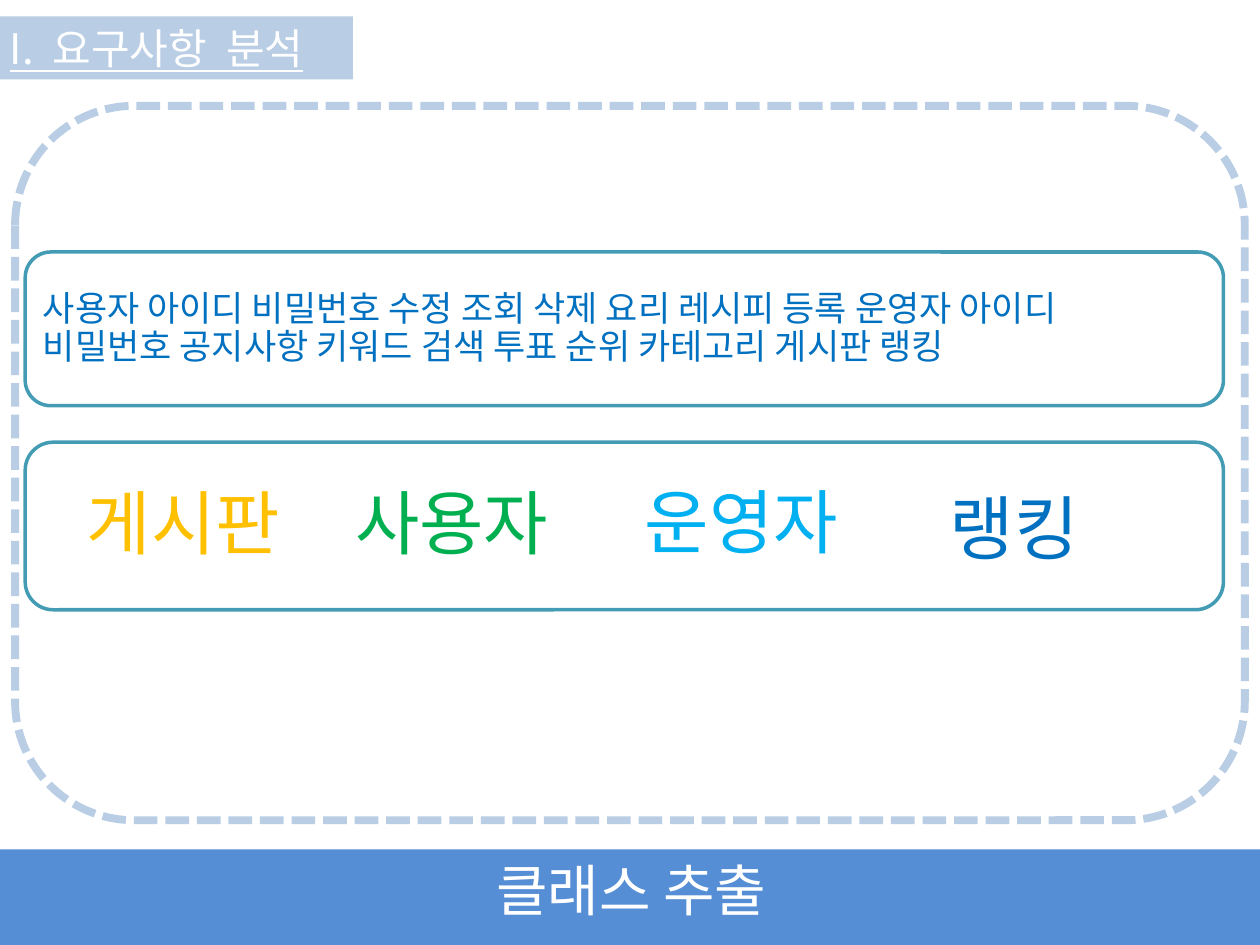
from pptx import Presentation
from pptx.dml.color import RGBColor
from pptx.enum.dml import MSO_LINE
from pptx.enum.shapes import MSO_SHAPE
from pptx.enum.text import MSO_ANCHOR, MSO_AUTO_SIZE, PP_ALIGN
from pptx.util import Inches, Pt

FONT = "Noto Sans CJK KR"
WHITE, PALE, BLUE, TEAL, INK = "FFFFFF", "B9CDE5", "558ED5", "449CB4", "0070C0"


def color(hex_string):
    """Turn a hex string into a colour."""
    return RGBColor.from_string(hex_string)


def add_box(slide, box, kind=MSO_SHAPE.RECTANGLE, fill=None, line=None, width=2):
    """Add a preset shape with an optional fill and outline."""
    shape = slide.shapes.add_shape(kind, *map(Inches, box))
    shape.shadow.inherit = False
    if fill:
        shape.fill.solid()
        shape.fill.fore_color.rgb = color(fill)
    else:
        shape.fill.background()
    if line:
        shape.line.color.rgb = color(line)
        shape.line.width = Pt(width)
    else:
        shape.line.fill.background()
    return shape


def write(shape, text, size, hex_string, align=PP_ALIGN.LEFT, wrap=True,
          anchor=MSO_ANCHOR.TOP, underline=None):
    """Write one run of text into a shape and return its paragraph."""
    frame = shape.text_frame
    frame.word_wrap = wrap
    frame.vertical_anchor = anchor
    paragraph = frame.paragraphs[0]
    paragraph.alignment = align
    run = paragraph.add_run()
    run.text = text
    font = run.font
    font.size, font.name, font.underline = Pt(size), FONT, underline
    font.color.rgb = color(hex_string)
    return paragraph


def add_heading(slide, box):
    """Place the underlined section heading."""
    shape = add_box(slide, box, fill=PALE)
    write(shape, "I.  요구사항  분석", 24, WHITE, wrap=False, underline=True)
    shape.text_frame.auto_size = MSO_AUTO_SIZE.SHAPE_TO_FIT_TEXT


def add_keywords(slide, box):
    """Place the panel of candidate words."""
    left, top, width, height = box
    inset = 0.06
    add_box(slide, box, MSO_SHAPE.ROUNDED_RECTANGLE, WHITE, TEAL)
    text_box = slide.shapes.add_textbox(
        Inches(left + inset), Inches(top + inset),
        Inches(width - 2 * inset), Inches(height - 2 * inset))
    frame = text_box.text_frame
    frame.margin_left = frame.margin_top = frame.margin_bottom = Inches(0.08)
    frame.margin_right = Inches(0.25)
    words = ("사용자 아이디 비밀번호 수정 조회 삭제 요리 레시피 등록 운영자 아이디 "
             "비밀번호 공지사항 키워드 검색 투표 순위 카테고리 게시판 랭킹")
    paragraph = write(text_box, words, 20, INK, anchor=MSO_ANCHOR.MIDDLE)
    paragraph.line_spacing = 0.9


def add_classes(slide, box):
    """Place the panel of extracted class names."""
    left, top = box[:2]
    add_box(slide, box, MSO_SHAPE.ROUNDED_RECTANGLE, WHITE, TEAL)
    classes = [("게시판", "FFC000", 0.39, 0.25, 1.89),
               ("사용자", "00B050", 2.52, 0.25, 2.13),
               ("운영자", "00B0F0", 4.82, 0.24, 2.13),
               ("랭킹", INK, 7.24, 0.29, 1.81)]
    for name, hex_string, across, down, width in classes:
        text_box = slide.shapes.add_textbox(
            Inches(left + across), Inches(top + down), Inches(width), Inches(0.77))
        write(text_box, name, 40, hex_string)
        text_box.text_frame.auto_size = MSO_AUTO_SIZE.SHAPE_TO_FIT_TEXT


def add_footer(slide, box):
    """Place the caption band at the bottom."""
    write(add_box(slide, box, fill=BLUE), "클래스 추출", 32, WHITE, PP_ALIGN.CENTER)


def add_frame(slide, box):
    """Place the dashed frame around the panels."""
    shape = add_box(slide, box, MSO_SHAPE.ROUNDED_RECTANGLE, line=PALE, width=4.5)
    shape.line.dash_style = MSO_LINE.SQUARE_DOT


def main():
    """Build the slide and save it."""
    presentation = Presentation()
    presentation.slide_width, presentation.slide_height = Inches(10), Inches(7.5)
    slide = presentation.slides.add_slide(presentation.slide_layouts[6])
    add_heading(slide, (-0.02, 0.13, 2.82, 0.5))
    add_keywords(slide, (0.2, 2, 9.51, 1.22))
    add_classes(slide, (0.2, 3.51, 9.51, 1.33))
    add_footer(slide, (0, 6.74, 10.02, 1.18))
    add_frame(slide, (0.12, 0.84, 9.76, 5.67))
    presentation.save("out.pptx")


main()
